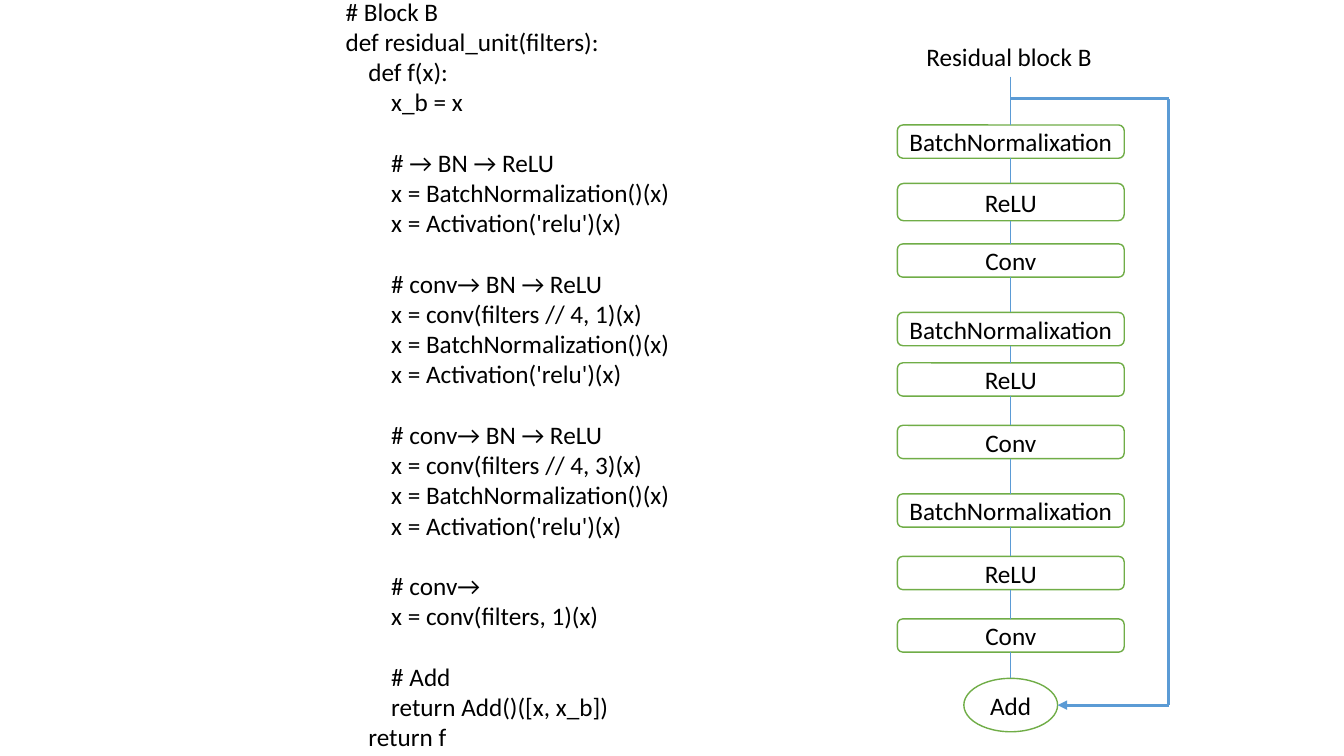
from itertools import pairwise

from lxml import etree
from pptx import Presentation
from pptx.dml.color import RGBColor
from pptx.enum.shapes import MSO_CONNECTOR as CONN, MSO_SHAPE as SHAPE
from pptx.enum.text import MSO_ANCHOR as ANCHOR, PP_ALIGN as ALIGN
from pptx.oxml.ns import qn
from pptx.util import Inches, Pt

COLORS = {"text": "000000", "fill": "FFFFFF", "border": "70AD47", "line": "5B9BD5"}
FONT = "Calibri"
LINE_PITCH = 21.6
INDENT = 0.226

CODE = """# Block B
def residual_unit(filters):
    def f(x):
        x_b = x

        # → BN → ReLU
        x = BatchNormalization()(x)
        x = Activation('relu')(x)

        # conv→ BN → ReLU
        x = conv(filters // 4, 1)(x)
        x = BatchNormalization()(x)
        x = Activation('relu')(x)

        # conv→ BN → ReLU
        x = conv(filters // 4, 3)(x)
        x = BatchNormalization()(x)
        x = Activation('relu')(x)

        # conv→
        x = conv(filters, 1)(x)

        # Add
        return Add()([x, x_b])
    return f"""

LAYERS = ["BatchNormalixation", "ReLU", "Conv"] * 3
LAYER_TOPS = [0.88, 1.46, 2.06, 2.74, 3.24, 3.86, 4.54, 5.16, 5.78]
LAYER_HEIGHTS = [0.33, 0.37] + [0.33] * 7


def rgb(name):
    return RGBColor.from_string(COLORS[name])


def write(p, text, size=18, color="text", align=ALIGN.LEFT, level=0, before=0):
    p.alignment = align
    p.space_before = Pt(before)
    if level:
        p._p.get_or_add_pPr().set("marL", str(Inches(level * INDENT)))
    r = p.add_run()
    r.text = text
    r.font.name = FONT
    r.font.size = Pt(size)
    r.font.color.rgb = rgb(color)


def add_text(s, x, y, w, h, wrap=True):
    tf = s.shapes.add_textbox(Inches(x), Inches(y), Inches(w), Inches(h)).text_frame
    tf.word_wrap = wrap
    return tf


def add_node(s, kind, text, x, y, w, h):
    sp = s.shapes.add_shape(kind, Inches(x), Inches(y), Inches(w), Inches(h))
    sp.shadow.inherit = False
    sp.fill.solid()
    sp.fill.fore_color.rgb = rgb("fill")
    sp.line.color.rgb = rgb("border")
    sp.line.width = Pt(1)
    tf = sp.text_frame
    tf.margin_left = tf.margin_right = tf.margin_top = tf.margin_bottom = 0
    tf.vertical_anchor = ANCHOR.MIDDLE
    write(tf.paragraphs[0], text, align=ALIGN.CENTER)


def add_line(s, start, end, width=0.5, arrow=False):
    points = [Inches(v) for v in (*start, *end)]
    cxn = s.shapes.add_connector(CONN.STRAIGHT, *points)
    cxn.line.color.rgb = rgb("line")
    cxn.line.width = Pt(width)
    if arrow:
        ln = cxn.line._get_or_add_ln()
        etree.SubElement(ln, qn("a:tailEnd"), type="triangle")
    etree.SubElement(cxn._element.spPr, qn("a:effectLst"))


def add_code(s, x, y, w, h):
    tf = add_text(s, x, y, w, h)
    p = tf.paragraphs[0]
    for i, block in enumerate(CODE.split("\n\n")):
        for j, line in enumerate(block.split("\n")):
            if i or j:
                p = tf.add_paragraph()
            code = line.lstrip()
            gap = LINE_PITCH if i and j == 0 else 0
            write(p, code, level=(len(line) - len(code)) // 4, before=gap)


def add_residual_block(s, x, y, w, h):
    layer_w, add_w, add_h = 2.25, 0.93, 0.53
    center, right, bottom = x + layer_w / 2, x + w, y + h
    add_top = bottom - add_h
    skip_top, skip_bottom = y + 0.62, bottom - add_h / 2

    label = add_text(s, x + 0.19, y, 1.86, 0.4, wrap=False)
    write(label.paragraphs[0], "Residual block B")

    spans = [(y + 0.4, y + 0.4)]
    for text, top, height in zip(LAYERS, LAYER_TOPS, LAYER_HEIGHTS):
        add_node(s, SHAPE.ROUNDED_RECTANGLE, text, x, y + top, layer_w, height)
        spans.append((y + top, y + top + height))
    add_node(s, SHAPE.OVAL, "Add", center - add_w / 2, add_top, add_w, add_h)
    spans.append((add_top, bottom))

    for (_, start), (end, _) in pairwise(spans):
        add_line(s, (center, start), (center, end))

    skip = [(center, skip_top), (right, skip_top),
            (right, skip_bottom), (center + add_w / 2, skip_bottom)]
    for start, end in pairwise(skip):
        add_line(s, start, end, width=2.25, arrow=end == skip[-1])


def main():
    prs = Presentation()
    prs.slide_width, prs.slide_height = Inches(13.33), Inches(7.5)
    s = prs.slides.add_slide(prs.slide_layouts[6])
    add_residual_block(s, 8.9, 0.36, 2.69, 6.9)
    add_code(s, 3.33, -0.09, 6.67, 7.67)
    prs.save("out.pptx")


if __name__ == "__main__":
    main()
